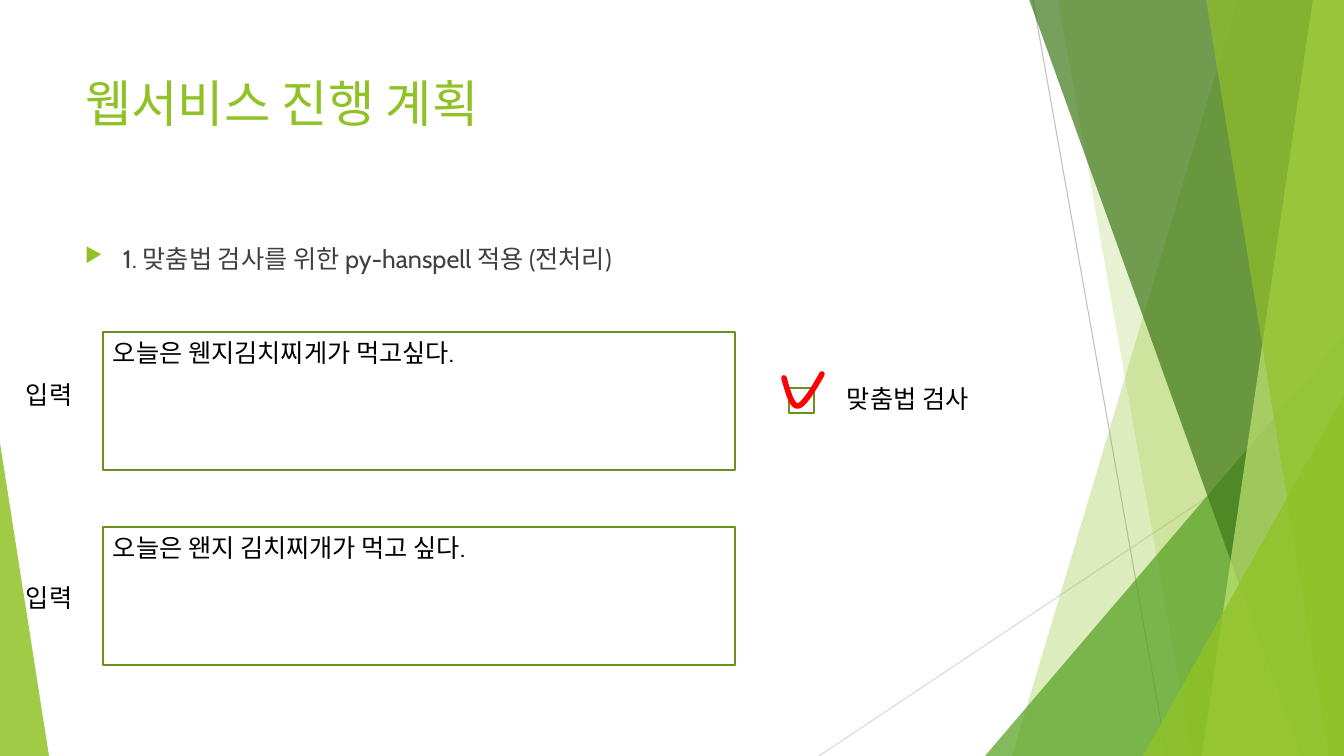
"""Build the web service plan slide with its spell check mock-up."""
import dataclasses

import pptx
import pptx.dml.color
import pptx.enum.shapes
import pptx.enum.text
import pptx.oxml.ns
import pptx.oxml.xmlchemy
import pptx.util

PX = 914400 / 100.8
WIDTH, HEIGHT = 1344, 756


@dataclasses.dataclass(frozen=True)
class Theme:
    font: str = "Cabin"
    title_size: int = 36
    body_size: int = 18
    accent: str = "90C226"
    leaf: str = "54A021"
    forest: str = "3F7819"
    lime: str = "C0E474"
    outline: str = "6B901C"
    body: str = "404040"
    black: str = "000000"
    white: str = "FFFFFF"
    check: str = "FF0000"
    dark_rule: str = "BFBFBF"
    light_rule: str = "D9D9D9"


theme = Theme()
rgb = pptx.dml.color.RGBColor.from_string
qn = pptx.oxml.ns.qn
new_element = pptx.oxml.xmlchemy.OxmlElement
shape_types = pptx.enum.shapes.MSO_SHAPE


def px(*lengths):
    """Turn pixel lengths into EMU."""
    return [round(length * PX) for length in lengths]


def write_text(shape, text, size, color):
    """Write one left-aligned run at the top of a shape and return its paragraph."""
    frame = shape.text_frame
    frame.word_wrap = True
    frame.auto_size = pptx.enum.text.MSO_AUTO_SIZE.NONE
    frame.vertical_anchor = pptx.enum.text.MSO_ANCHOR.TOP
    paragraph = frame.paragraphs[0]
    paragraph.alignment = pptx.enum.text.PP_ALIGN.LEFT
    run = paragraph.add_run()
    run.text = text
    run.font.name = theme.font
    run.font.size = pptx.util.Pt(size)
    run.font.color.rgb = rgb(color)
    return paragraph


presentation = pptx.Presentation()
presentation.slide_width, presentation.slide_height = px(WIDTH, HEIGHT)
slide = presentation.slides.add_slide(presentation.slide_layouts[5])
shapes = slide.shapes

rules = [
    (1033, 0, 1167, HEIGHT, theme.dark_rule),
    (WIDTH, 406, 819, HEIGHT, theme.light_rule),
]
for *ends, color in rules:
    rule = shapes.add_connector(pptx.enum.shapes.MSO_CONNECTOR.STRAIGHT, *px(*ends))
    rule.line.color.rgb = rgb(color)
    rule.line.width = pptx.util.Pt(0.75)
    rule._element.spPr.append(new_element("a:effectLst"))

facets = [
    ("band", (1238, 1012), theme.accent, 30),
    ("band", (1058, 1192), theme.accent, 20),
    ("triangle", (985, 336, 359, 1), theme.leaf, 72),
    ("band", (1029, 1301), theme.forest, 70),
    ("band", (1313, 1202), theme.lime, 70),
    ("band", (1206, 1329), theme.accent, 65),
    ("triangle", (1143, 396, 201, 1), theme.accent, 80),
    ("triangle", (0, 443, 49, 0), theme.accent, 85),
]
for kind, geometry, color, opacity in facets:
    if kind == "band":
        top_left, bottom_left = geometry
        builder = shapes.build_freeform(top_left, -1, PX)
        builder.add_line_segments([(WIDTH, -1), (WIDTH, HEIGHT), (bottom_left, HEIGHT)])
        facet = builder.convert_to_shape()
    else:
        left, top, width, apex = geometry
        facet = shapes.add_shape(
            shape_types.ISOSCELES_TRIANGLE, *px(left, top, width, HEIGHT - top)
        )
        facet.adjustments[0] = apex
    facet.shadow.inherit = False
    facet.line.fill.background()
    facet.fill.solid()
    facet.fill.fore_color.rgb = rgb(color)
    alpha = new_element("a:alpha")
    alpha.set("val", str(opacity * 1000))
    facet._element.spPr.find(qn("a:solidFill")).find(qn("a:srgbClr")).append(alpha)

title = shapes.title
title.left, title.top, title.width, title.height = px(75, 67, 948, 145)
write_text(title, "웹서비스 진행 계획", theme.title_size, theme.accent)

plan = shapes.add_textbox(*px(75, 238, 948, 427))
paragraph = write_text(
    plan, "1. 맞춤법 검사를 위한 py-hanspell 적용 (전처리)", theme.body_size, theme.body
)
properties = paragraph._p.get_or_add_pPr()
indent = px(38)[0]
properties.set("marL", str(indent))
properties.set("indent", str(-indent))
bullet_color = new_element("a:buClr")
accent = new_element("a:srgbClr")
accent.set("val", theme.accent)
bullet_color.append(accent)
bullet_size = new_element("a:buSzPct")
bullet_size.set("val", "80000")
bullet = new_element("a:buChar")
bullet.set("char", "▶")
for element in (bullet_color, bullet_size, bullet):
    properties.append(element)

boxes = [(103, 332, 632, 138), (103, 527, 632, 138), (789, 388, 25, 25)]
for bounds in boxes:
    box = shapes.add_shape(shape_types.RECTANGLE, *px(*bounds))
    box.shadow.inherit = False
    box.fill.solid()
    box.fill.fore_color.rgb = rgb(theme.white)
    box.line.color.rgb = rgb(theme.outline)
    box.line.width = pptx.util.Pt(1.5)

labels = [
    ("맞춤법 검사", 837, 378, 156),
    ("오늘은 웬지김치찌게가 먹고싶다.", 103, 332, 632),
    ("오늘은 왠지 김치찌개가 먹고 싶다.", 103, 527, 632),
    ("입력", 16, 374, 87),
    ("입력", 16, 577, 87),
]
for text, left, top, width in labels:
    label = shapes.add_textbox(*px(left, top, width, 40))
    write_text(label, text, theme.body_size, theme.black)

curves = [
    ((784, 378), (788, 392), (792, 407), (798, 406)),
    ((798, 406), (805, 406), (822, 374), (822, 374)),
]
steps = 12
stroke = []
for curve in curves:
    for step in range(1, steps + 1):
        t = step / steps
        weights = ((1 - t) ** 3, 3 * t * (1 - t) ** 2, 3 * t**2 * (1 - t), t**3)
        stroke.append(
            tuple(sum(w * point[axis] for w, point in zip(weights, curve)) for axis in (0, 1))
        )
builder = shapes.build_freeform(*px(*curves[0][0]))
builder.add_line_segments([px(*point) for point in stroke], close=False)
check = builder.convert_to_shape()
check.shadow.inherit = False
check.fill.background()
check.line.color.rgb = rgb(theme.check)
check.line.width = pptx.util.Pt(4)
outline = check._element.spPr.find(qn("a:ln"))
outline.set("cap", "rnd")
outline.append(new_element("a:round"))

presentation.save("out.pptx")
